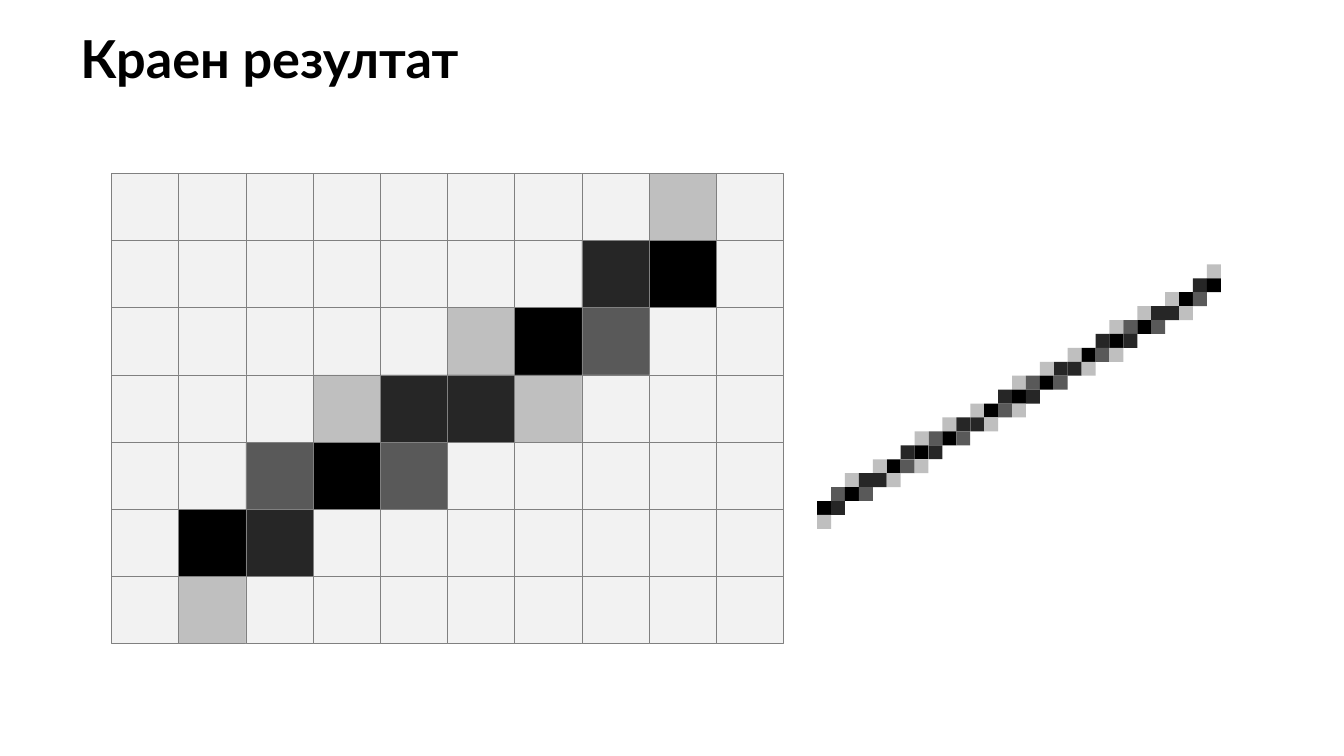
from pptx import Presentation
from pptx.dml.color import RGBColor
from pptx.enum import shapes
from pptx.util import Inches, Pt

TITLE = "Краен резултат"
SHADES = {".": "F2F2F2", "g": "BFBFBF", "m": "595959", "d": "262626", "k": "000000"}
GRID = [
    "........g.",
    ".......dk.",
    ".....gkm..",
    "...gddg...",
    "..mkm.....",
    ".kd.......",
    ".g........",
]
GRID_LEFT, GRID_TOP, CELL = 0.83, 1.29, 0.5

# The small line repeats the pattern, each time 7 columns right and 4 rows up.
REPEATS, SHIFT_COLS, SHIFT_ROWS = 4, 7, 4
LINE_LEFT, LINE_TOP, PIXEL = 6.08, 3.21, 2.9 / 28


def rgb(color):
    return RGBColor.from_string(color)


def add_pixels(slide, pixels, left, top, size, outline=None):
    """Draw {(column, row): shade} as one group of squares."""
    group = slide.shapes.add_group_shape()
    for (col, row), shade in pixels.items():
        sp = group.shapes.add_shape(
            shapes.MSO_SHAPE.RECTANGLE,
            Inches(left + col * size), Inches(top + row * size),
            Inches(size), Inches(size))
        sp.shadow.inherit = False
        sp.fill.solid()
        sp.fill.fore_color.rgb = rgb(SHADES[shade])
        if outline:
            sp.line.color.rgb = rgb(outline)
            sp.line.width = Pt(0.25)
        else:
            sp.line.fill.background()


prs = Presentation()
prs.slide_width = Inches(10)
prs.slide_height = Inches(10) * 9 // 16
s = prs.slides.add_slide(prs.slide_layouts[6])

tf = s.shapes.add_textbox(Inches(0.5), Inches(0.15), Inches(9.5), Inches(5.33)).text_frame
tf.word_wrap = True
tf.text = TITLE
font = tf.paragraphs[0].runs[0].font
font.name, font.size, font.bold = "Lato", Pt(28), True
font.color.rgb = rgb("000000")

grid = {(col, row): shade
        for row, line in enumerate(GRID) for col, shade in enumerate(line)}
add_pixels(s, grid, GRID_LEFT, GRID_TOP, CELL, outline="808080")

small_line = {(col - 1 + n * SHIFT_COLS, row - n * SHIFT_ROWS): shade
              for n in range(REPEATS)
              for (col, row), shade in grid.items() if shade != "."}
add_pixels(s, small_line, LINE_LEFT, LINE_TOP, PIXEL)

prs.save("out.pptx")
